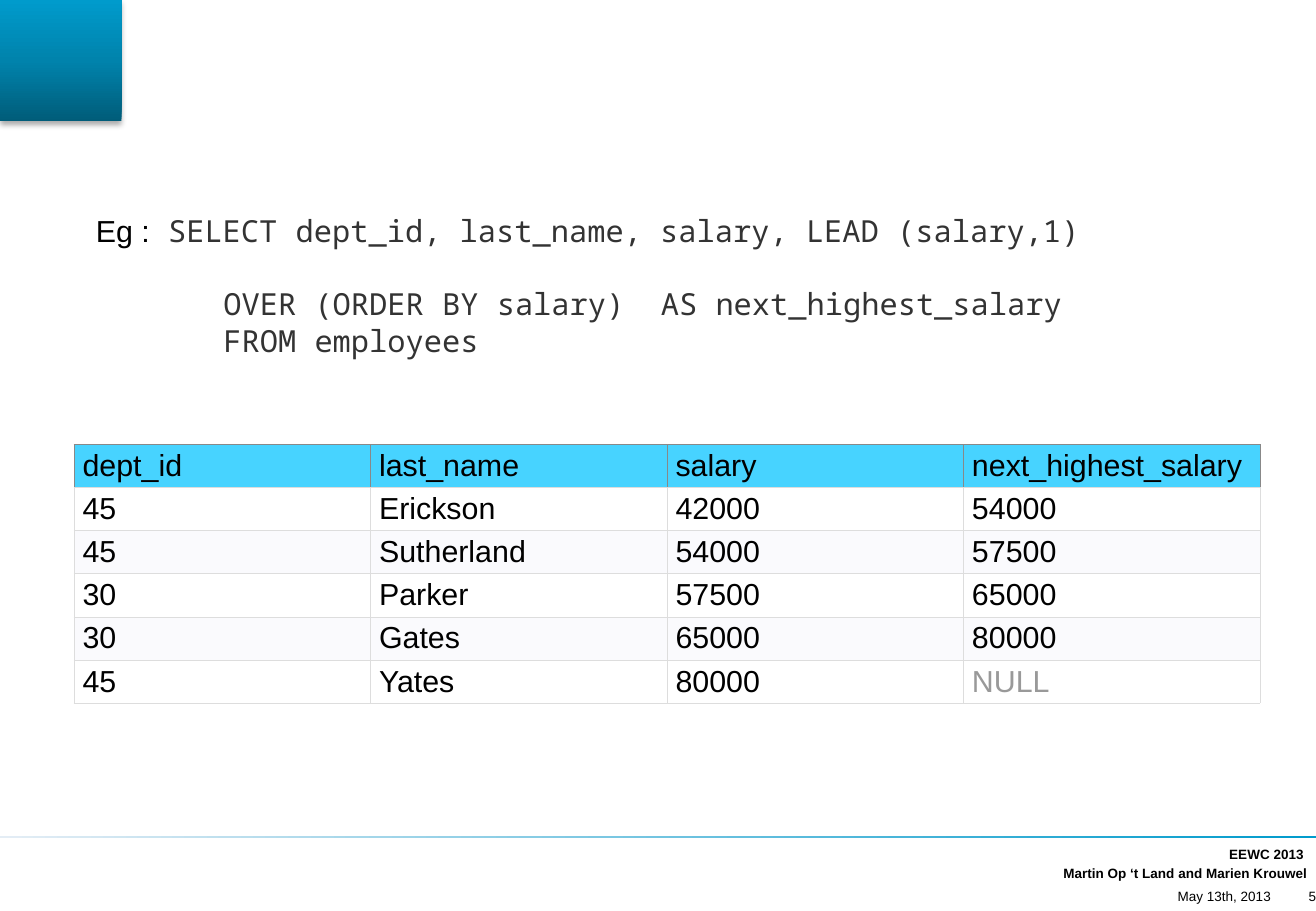
from dataclasses import dataclass

from lxml.etree import SubElement
from pptx import Presentation
from pptx.dml.color import RGBColor
from pptx.enum.shapes import MSO_SHAPE
from pptx.enum.text import MSO_ANCHOR as Anchor, PP_ALIGN as Align
from pptx.oxml.ns import qn
from pptx.util import Inches, Pt

BLACK = RGBColor(0x00, 0x00, 0x00)
WHITE = RGBColor(0xFF, 0xFF, 0xFF)
CODE_GREY = RGBColor(0x33, 0x33, 0x33)
NULL_GREY = RGBColor(0x99, 0x99, 0x99)
HEADER_BLUE = RGBColor(0x47, 0xD3, 0xFF)
BAND = RGBColor(0xFA, 0xFA, 0xFD)
HEADER_BORDER = RGBColor(0x88, 0x88, 0x88)
GRID = RGBColor(0xDD, 0xDD, 0xDD)
PALE = RGBColor(0xE4, 0xED, 0xF5)
BLUE = RGBColor(0x00, 0x9B, 0xCC)
MID_BLUE = RGBColor(0x00, 0x83, 0xAC)
DARK_BLUE = RGBColor(0x00, 0x5C, 0x79)

SANS = "Arial"
MONO = "Noto Sans Mono"


@dataclass
class FooterLine:
    text: str
    left: float
    top: float
    width: float
    height: float
    bold: bool = False
    inset: float = 0


FOOTER = [
    FooterLine("EEWC 2013", 7.09, 6.98, 3.68, 0.12, bold=True, inset=0.04),
    FooterLine("Martin Op ‘t Land and Marien Krouwel", 8.65, 7.14, 2.15, 0.11, bold=True, inset=0.04),
    FooterLine("May 13th, 2013", 9.16, 7.3, 1.3, 0.18),
    FooterLine("5", 10.54, 7.33, 0.29, 0.12),
]

SALARIES = [
    ("dept_id", "last_name", "salary", "next_highest_salary"),
    ("45", "Erickson", "42000", "54000"),
    ("45", "Sutherland", "54000", "57500"),
    ("30", "Parker", "57500", "65000"),
    ("30", "Gates", "65000", "80000"),
    ("45", "Yates", "80000", "NULL"),
]


def add_text(paragraph, text: str, *, size: float = 18, font: str = SANS,
             color: RGBColor = BLACK, bold: bool = False) -> None:
    run = paragraph.add_run()
    run.text = text
    run.font.size = Pt(size)
    run.font.name = font
    run.font.bold = bold
    run.font.color.rgb = color


def add_frame(slide, left: float, top: float, width: float, height: float):
    box = slide.shapes.add_textbox(Inches(left), Inches(top), Inches(width), Inches(height))
    box.text_frame.word_wrap = True
    return box.text_frame


def set_gradient(shape, colors: list[RGBColor], angle: int) -> None:
    shape.line.fill.background()
    shape.shadow.inherit = False
    shape.fill.gradient()
    shape.fill.gradient_angle = angle
    stops = shape.fill._fill._gradFill.find(qn("a:gsLst"))
    for stop in list(stops):
        stops.remove(stop)
    for index, color in enumerate(colors):
        position = str(100000 * index // (len(colors) - 1))
        stop = SubElement(stops, qn("a:gs"), pos=position)
        SubElement(stop, qn("a:srgbClr"), val=str(color))


def add_corner_swoosh(slide) -> None:
    start, pull_start, pull_end, end = (-0.01, 1.35), (0.11, 0.64), (2.89, 0), (3.77, 0)
    steps = 60

    def curve_point(t: float) -> tuple[float, float]:
        u = 1 - t
        x, y = (
            u ** 3 * a + 3 * u * u * t * b + 3 * u * t * t * c + t ** 3 * d
            for a, b, c, d in zip(start, pull_start, pull_end, end)
        )
        return x, y

    builder = slide.shapes.build_freeform(start[0], 0, scale=Inches(1))
    builder.add_line_segments([curve_point(i / steps) for i in range(steps + 1)], close=True)
    swoosh = builder.convert_to_shape()
    set_gradient(swoosh, [DARK_BLUE, MID_BLUE, BLUE], 90)
    effects = swoosh._element.spPr.find(qn("a:effectLst"))
    shadow = SubElement(effects, qn("a:outerShdw"), blurRad=str(Pt(3.5)), dist=str(Pt(2.2)),
                        dir="5400000", algn="t", rotWithShape="0")
    shade = SubElement(shadow, qn("a:srgbClr"), val=str(BLACK))
    SubElement(shade, qn("a:alpha"), val="32000")


def set_borders(cell, side_color: RGBColor) -> None:
    properties = cell._tc.get_or_add_tcPr()
    sides = {"a:lnL": side_color, "a:lnR": side_color, "a:lnT": side_color, "a:lnB": GRID}
    for position, (tag, color) in enumerate(sides.items()):
        border = SubElement(properties, qn(tag), w=str(Pt(0.5)))
        properties.insert(position, border)
        fill = SubElement(border, qn("a:solidFill"))
        SubElement(fill, qn("a:srgbClr"), val=str(color))


def add_salary_table(slide) -> None:
    table = slide.shapes.add_table(len(SALARIES), len(SALARIES[0]), Inches(0.61), Inches(3.66),
                                   Inches(9.76), Inches(2.13)).table
    for r, record in enumerate(SALARIES):
        band = HEADER_BLUE if r == 0 else (WHITE if r % 2 else BAND)
        for c, value in enumerate(record):
            cell = table.cell(r, c)
            cell.vertical_anchor = Anchor.MIDDLE
            cell.margin_left = cell.margin_right = Inches(0.07)
            cell.margin_top = cell.margin_bottom = Inches(0.03)
            cell.fill.solid()
            cell.fill.fore_color.rgb = band
            set_borders(cell, HEADER_BORDER if r == 0 else GRID)
            add_text(cell.text_frame.paragraphs[0], value,
                     color=NULL_GREY if value == "NULL" else BLACK)


def add_query(slide) -> None:
    frame = add_frame(slide, 0.69, 1.7, 8.9, 1.01)
    select = frame.paragraphs[0]
    select.space_after = Pt(21.6)
    add_text(select, "Eg :")
    add_text(select, " SELECT dept_id, last_name, salary, LEAD (salary,1)", font=MONO, color=CODE_GREY)
    for clause in ("OVER (ORDER BY salary)  AS next_highest_salary", "FROM employees"):
        paragraph = frame.add_paragraph()
        paragraph._p.get_or_add_pPr().set("marL", str(Inches(1.05)))
        add_text(paragraph, clause, font=MONO, color=CODE_GREY)


def add_footer_line(slide, line: FooterLine) -> None:
    frame = add_frame(slide, line.left, line.top, line.width, line.height)
    frame.vertical_anchor = Anchor.MIDDLE
    frame.margin_left = frame.margin_right = Inches(line.inset)
    frame.margin_top = frame.margin_bottom = 0
    paragraph = frame.paragraphs[0]
    paragraph.alignment = Align.RIGHT
    paragraph.line_spacing = 0.85
    add_text(paragraph, line.text, size=8, bold=line.bold)


def main() -> None:
    deck = Presentation()
    deck.slide_width, deck.slide_height = Inches(10.83), Inches(7.5)
    slide = deck.slides.add_slide(deck.slide_layouts[6])
    footer_rule = slide.shapes.add_shape(MSO_SHAPE.RECTANGLE, Inches(-0.01), Inches(6.88),
                                         Inches(10.84), Inches(0.02))
    set_gradient(footer_rule, [PALE, BLUE], 0)
    add_corner_swoosh(slide)
    add_salary_table(slide)
    add_query(slide)
    for line in FOOTER:
        add_footer_line(slide, line)
    deck.save("out.pptx")


if __name__ == "__main__":
    main()
